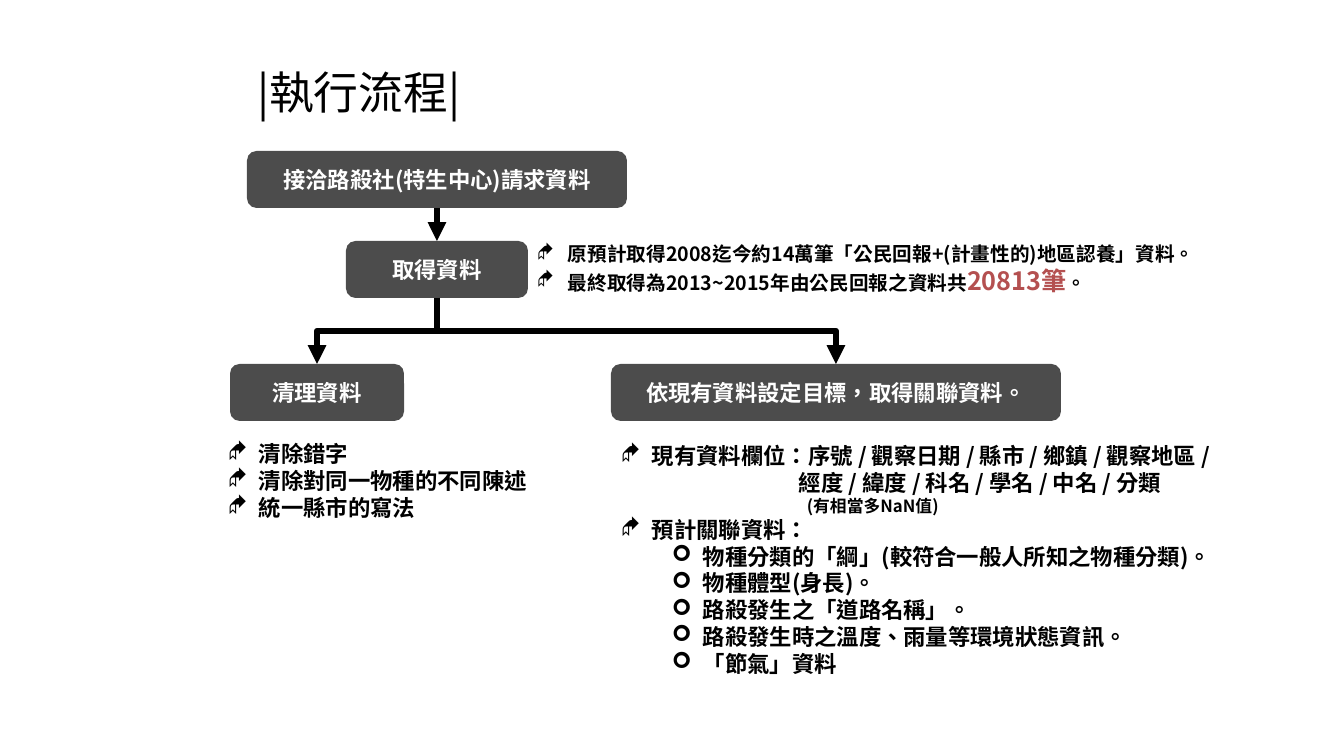
"""Build the slide that shows how the roadkill data were gathered."""
from dataclasses import dataclass

from lxml import etree
from pptx import Presentation
from pptx.dml.color import RGBColor
from pptx.enum.lang import MSO_LANGUAGE_ID
from pptx.enum.shapes import MSO_CONNECTOR, MSO_SHAPE
from pptx.enum.text import MSO_ANCHOR, MSO_AUTO_SIZE, PP_ALIGN
from pptx.oxml.ns import qn
from pptx.util import Emu, Pt

ELBOW, STRAIGHT = MSO_CONNECTOR.ELBOW, MSO_CONNECTOR.STRAIGHT
ROUNDED = MSO_SHAPE.ROUNDED_RECTANGLE
TOP, MIDDLE = MSO_ANCHOR.TOP, MSO_ANCHOR.MIDDLE
LEFT, CENTER = PP_ALIGN.LEFT, PP_ALIGN.CENTER
GROW, FIXED = MSO_AUTO_SIZE.SHAPE_TO_FIT_TEXT, MSO_AUTO_SIZE.NONE
CHINESE = MSO_LANGUAGE_ID.TRADITIONAL_CHINESE

BLACK = RGBColor(0, 0, 0)
WHITE = RGBColor(255, 255, 255)
RED = RGBColor(0xB4, 0x50, 0x50)
TITLE_FONT = "Noto Sans CJK JP"
BODY_FONT = "Noto Sans CJK SC"
PX = 914400 / 100.8
BOX_HEIGHT = 57
HANG = 31


@dataclass(frozen=True)
class Run:
    text: str
    size: int = 16
    color: RGBColor = BLACK


@dataclass(frozen=True)
class Para:
    runs: tuple[Run, ...]
    bullet: str = "◆"
    margin: int = HANG
    level: int = 0


@dataclass(frozen=True)
class Step:
    text: str
    left: int
    top: int
    width: int


@dataclass(frozen=True)
class Note:
    left: int
    top: int
    width: int
    height: int
    paras: tuple[Para, ...]


STEPS = (
    Step("接洽路殺社(特生中心)請求資料", 247, 151, 380),
    Step("取得資料", 346, 241, 182),
    Step("清理資料", 230, 364, 174),
    Step("依現有資料設定目標，取得關聯資料。", 611, 364, 450),
)
LINKS = ((0, 1), (1, 2), (1, 3))

CLEANING = ("清除錯字", "清除對同一物種的不同陳述", "統一縣市的寫法")
RELATED = (
    "物種分類的「綱」(較符合一般人所知之物種分類)。",
    "物種體型(身長)。",
    "路殺發生之「道路名稱」。",
    "路殺發生時之溫度、雨量等環境狀態資訊。",
    "「節氣」資料",
)
NOTES = (
    Note(527, 237, 721, 65, (
        Para((Run("原預計取得2008迄今約14萬筆「公民回報+(計畫性的)地區認養」資料。", 14),)),
        Para((Run("最終取得為2013~2015年由公民回報之資料共", 14),
              Run("20813筆", 18, RED), Run("。", 14))),
    )),
    Note(218, 435, 336, 92, tuple(Para((Run(t),)) for t in CLEANING)),
    Note(611, 437, 654, 254, (
        Para((Run("現有資料欄位：序號 / 觀察日期 / 縣市 / 鄉鎮 / 觀察地區 /"),)),
        Para((Run("經度 / 緯度 / 科名 / 學名 / 中名 / 分類"),), "", 178),
        Para((Run("(有相當多NaN值)", 12),), "", 186),
        Para((Run("預計關聯資料："),)),
        *(Para((Run(t),), "➢", 82, 1) for t in RELATED),
    )),
)


def px(n: float) -> Emu:
    """Turn slide pixels into EMU."""
    return Emu(round(n * PX))


def add_run(p, run: Run, font: str = BODY_FONT, bold: bool = True) -> None:
    """Add one formatted run to a paragraph."""
    r = p.add_run()
    r.text = run.text
    r.font.size, r.font.bold = Pt(run.size), bold
    r.font.color.rgb = run.color
    r.font.language_id = CHINESE
    r.font.name = font
    etree.SubElement(r.font._element, qn("a:ea"), typeface=font)


def add_title(s) -> None:
    """Place and fill the title placeholder."""
    sp = s.shapes.title
    sp.left, sp.top, sp.width, sp.height = px(247), px(60), px(256), px(65)
    tf = sp.text_frame
    tf.word_wrap, tf.auto_size, tf.vertical_anchor = False, FIXED, TOP
    tf.paragraphs[0].alignment = LEFT
    add_run(tf.paragraphs[0], Run("|執行流程|", 32), TITLE_FONT, False)


def add_step(s, step: Step):
    """Draw one rounded box of the flow."""
    sp = s.shapes.add_shape(ROUNDED, px(step.left), px(step.top), px(step.width), px(BOX_HEIGHT))
    sp.shadow.inherit = False
    sp.fill.solid()
    sp.fill.fore_color.rgb = BLACK
    color = sp._element.spPr.find(qn("a:solidFill"))[0]
    etree.SubElement(color, qn("a:alpha"), val="70000")
    sp.line.fill.background()
    tf = sp.text_frame
    tf.word_wrap, tf.vertical_anchor = True, MIDDLE
    p = tf.paragraphs[0]
    p.alignment = CENTER
    add_run(p, Run(step.text, 16, WHITE))
    return sp


def add_note(s, note: Note) -> None:
    """Write a text box of bulleted paragraphs."""
    sp = s.shapes.add_textbox(px(note.left), px(note.top), px(note.width), px(note.height))
    tf = sp.text_frame
    tf.word_wrap, tf.auto_size = True, GROW
    for i, para in enumerate(note.paras):
        p = tf.paragraphs[0] if i == 0 else tf.add_paragraph()
        p.level = para.level
        pPr = p._p.get_or_add_pPr()
        pPr.set("marL", str(px(para.margin)))
        if para.bullet:
            pPr.set("indent", str(px(-HANG)))
            etree.SubElement(pPr, qn("a:buFont"), typeface="Wingdings")
            etree.SubElement(pPr, qn("a:buChar"), char=para.bullet)
        for run in para.runs:
            add_run(p, run)


def add_link(s, start, end) -> None:
    """Join the bottom of one box to the top of another with an arrow."""
    x1, y1 = start.left + start.width // 2, start.top + start.height
    x2, y2 = end.left + end.width // 2, end.top
    dx, dy = x2 - x1, y2 - y1
    bent = abs(dx) > px(1)
    c = s.shapes.add_connector(ELBOW if bent else STRAIGHT, x1, y1, x2, y2)
    c.begin_connect(start, 2)
    c.end_connect(end, 0)
    if bent:
        c.left, c.top = (x1 + x2 - dy) // 2, (y1 + y2 - abs(dx)) // 2
        c.width, c.height = dy, abs(dx)
        xfrm = c._element.spPr.find(qn("a:xfrm"))
        xfrm.set("rot", str((270 if dx > 0 else 90) * 60000))
        xfrm.set("flipH", "1" if dx > 0 else "0")
    c.line.color.rgb, c.line.width = BLACK, Pt(4.5)
    etree.SubElement(c.line._get_or_add_ln(), qn("a:tailEnd"), type="triangle")
    etree.SubElement(c._element.spPr, qn("a:effectLst"))


def main() -> None:
    """Build and save the slide."""
    prs = Presentation()
    prs.slide_width, prs.slide_height = px(1344), px(756)
    s = prs.slides.add_slide(prs.slide_layouts[5])
    add_title(s)
    boxes = [add_step(s, step) for step in STEPS]
    for note in NOTES:
        add_note(s, note)
    for start, end in LINKS:
        add_link(s, boxes[start], boxes[end])
    prs.save("out.pptx")


if __name__ == "__main__":
    main()
